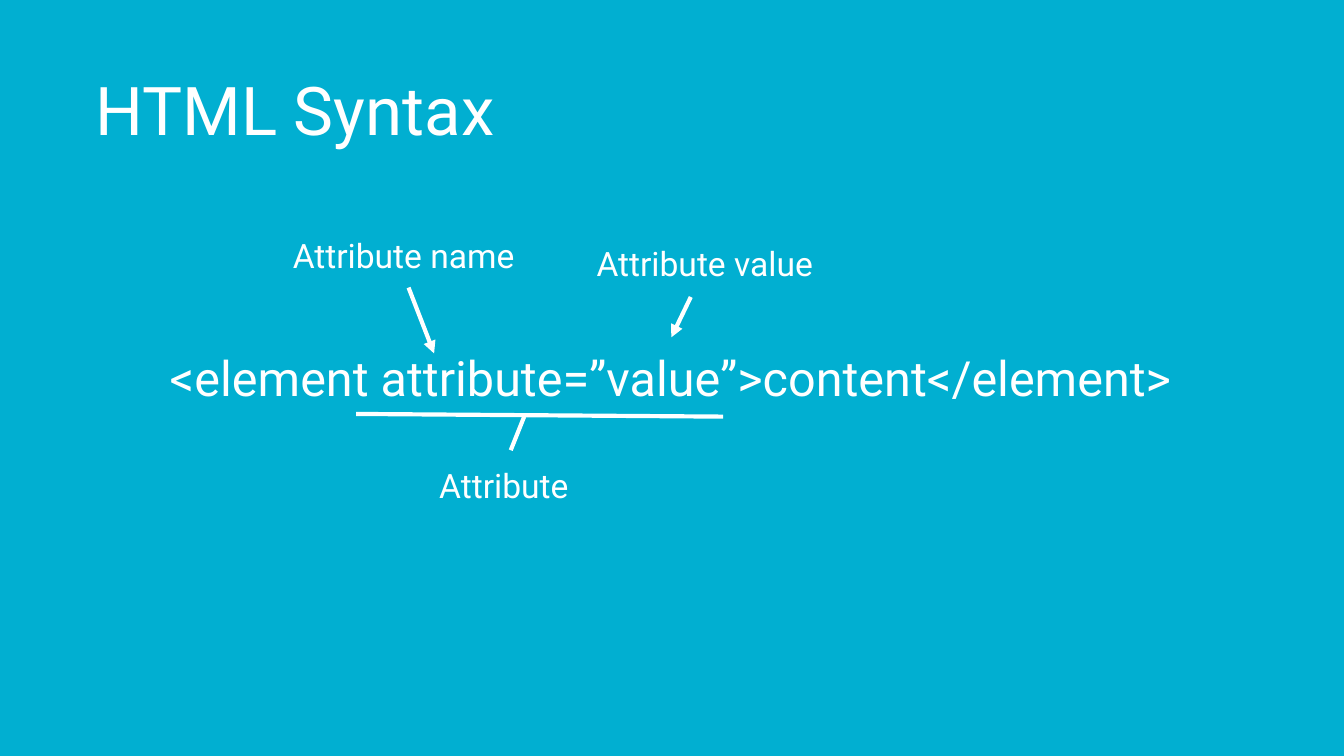
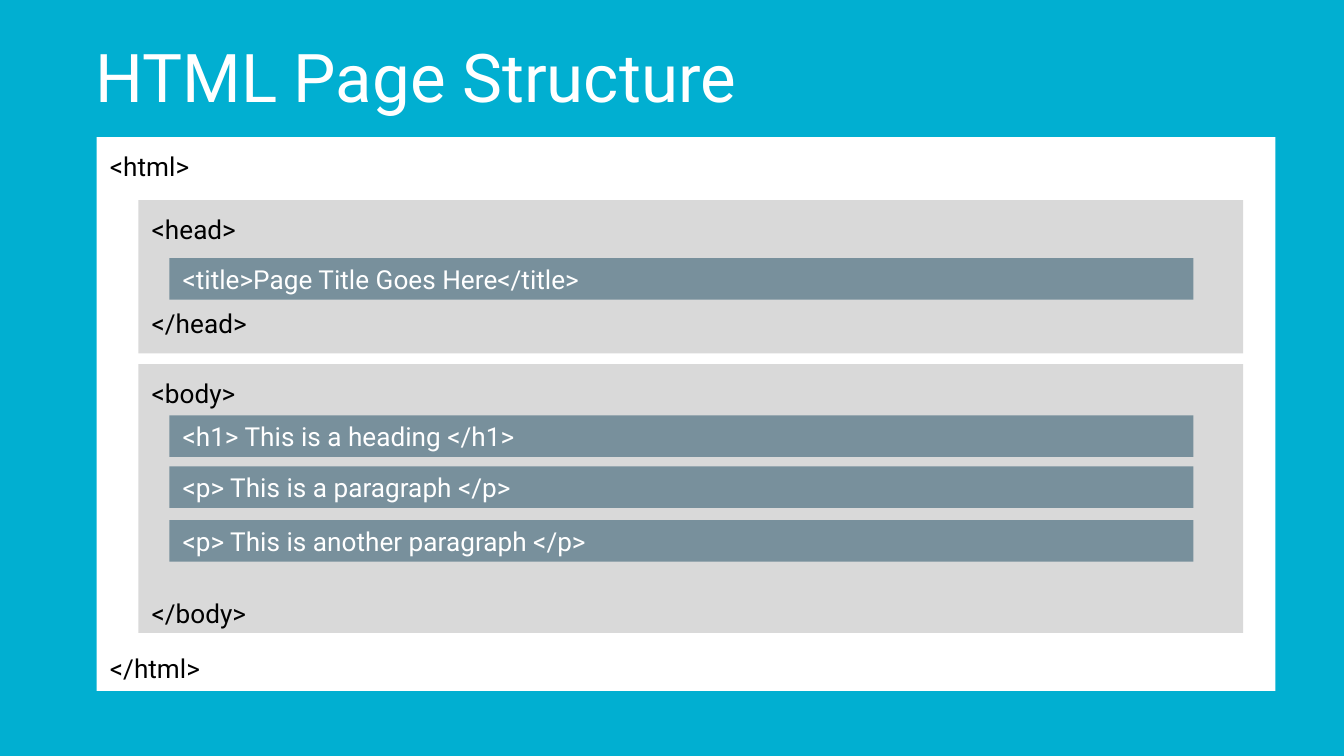
from lxml.etree import SubElement
from pptx import Presentation
from pptx.dml.color import RGBColor
from pptx.enum.shapes import MSO_CONNECTOR as Connector, MSO_SHAPE as Shape
from pptx.enum.text import MSO_ANCHOR as Anchor, MSO_AUTO_SIZE as AutoSize, PP_ALIGN as Align
from pptx.oxml.ns import qn
from pptx.util import Inches, Pt

SLIDE_WIDTH = Inches(10)
SLIDE_HEIGHT = SLIDE_WIDTH * 9 // 16
CYAN = RGBColor(0x01, 0xAF, 0xD1)
WHITE = RGBColor(0xFF, 0xFF, 0xFF)
BLACK = RGBColor(0x00, 0x00, 0x00)
GRAY = RGBColor(0xD9, 0xD9, 0xD9)
SLATE = RGBColor(0x78, 0x90, 0x9C)
FONT = "Roboto"
TAG_SIZE = 14
INSET = Inches(0.1)
FRAME = {
    "word_wrap": True,
    "auto_size": AutoSize.NONE,
    "margin_left": INSET,
    "margin_top": INSET,
    "margin_right": INSET,
    "margin_bottom": INSET,
}


def set_values(target, values):
    """Set each attribute of the target named in values."""
    for name, value in values.items():
        setattr(target, name, value)


def write_text(shape, lines, size, color=WHITE, align=Align.LEFT, anchor=Anchor.TOP, gap=0):
    """Write one paragraph per line, with a gap in points between them."""
    frame = shape.text_frame
    set_values(frame, FRAME | {"vertical_anchor": anchor})
    frame.text = "\n".join(lines)
    for index, paragraph in enumerate(frame.paragraphs):
        set_values(paragraph, {"alignment": align, "space_before": Pt(gap if index else 0)})
        for run in paragraph.runs:
            set_values(run.font, {"name": FONT, "size": Pt(size)})
            run.font.color.rgb = color


def add_titled_slide(presentation, title, top, width):
    """Add a title-only slide and place its title."""
    slide = presentation.slides.add_slide(presentation.slide_layouts[5])
    shape = slide.shapes.title
    place = {"left": 0.61, "top": top, "width": width, "height": 0.79}
    set_values(shape, {name: Inches(length) for name, length in place.items()})
    write_text(shape, [title], 36, anchor=Anchor.BOTTOM)
    return slide


def add_label(slide, text, left, top, width=2.42, height=0.45, size=18, **style):
    """Add a white text box and return it."""
    box = slide.shapes.add_textbox(*map(Inches, (left, top, width, height)))
    write_text(box, [text], size, **style)
    return box


def add_line(slide, start, end, arrow=False, target=None):
    """Add a white line, ending at the target's top side if one is given."""
    line = slide.shapes.add_connector(Connector.STRAIGHT, *map(Inches, start + end))
    if target is not None:
        line.end_connect(target, 0)
    line.line.color.rgb = WHITE
    line.line.width = Pt(2.25)
    if arrow:
        SubElement(line.line._get_or_add_ln(), qn("a:tailEnd"), type="triangle")
    SubElement(line._element.spPr, qn("a:effectLst"))


def add_block(slide, box, fill, lines, **style):
    """Add a filled rectangle holding lines of markup."""
    shape = slide.shapes.add_shape(Shape.RECTANGLE, *map(Inches, box))
    shape.shadow.inherit = False
    shape.fill.solid()
    shape.fill.fore_color.rgb = fill
    shape.line.fill.background()
    write_text(shape, lines, TAG_SIZE, **style)


def add_container(slide, box, fill, tag, gap):
    """Add a block with an opening and a closing tag."""
    add_block(slide, box, fill, [f"<{tag}>", f"</{tag}>"], color=BLACK, gap=gap)


def add_content(slide, top, text):
    """Add a slate row with one element of the page."""
    add_block(slide, (1.26, top, 7.62, 0.31), SLATE, [text], anchor=Anchor.MIDDLE)


def build_syntax(presentation):
    """Build the slide that names the parts of an element."""
    slide = add_titled_slide(presentation, "HTML Syntax", 0.42, 4.68)
    code = add_label(slide, "<element attribute=”value”>content</element>", 0.12, 2.51,
                     9.75, 0.61, 26, align=Align.CENTER, anchor=Anchor.BOTTOM)
    add_line(slide, (2.65, 3.08), (5.38, 3.1))
    add_label(slide, "Attribute name", 2.08, 1.65)
    add_line(slide, (3.04, 2.14), (3.23, 2.63), arrow=True)
    add_label(slide, "Attribute value", 4.34, 1.71)
    add_line(slide, (5.14, 2.21), (5, 2.51), arrow=True, target=code)
    add_label(slide, "Attribute ", 2.57, 3.36, align=Align.CENTER)
    add_line(slide, (3.9, 3.1), (3.8, 3.35))


def build_structure(presentation):
    """Build the slide that shows the nested page."""
    slide = add_titled_slide(presentation, "HTML Page Structure", 0.17, 6.61)
    add_container(slide, (0.72, 1.02, 8.77, 4.12), WHITE, "html", 252)
    add_container(slide, (1.03, 1.49, 8.22, 1.14), GRAY, "head", 33.5)
    add_content(slide, 1.92, "<title>Page Title Goes Here</title>")
    add_container(slide, (1.03, 2.71, 8.22, 2), GRAY, "body", 101)
    for top, text in (
        (3.09, "<h1> This is a heading </h1>"),
        (3.47, "<p> This is a paragraph </p>"),
        (3.87, "<p> This is another paragraph </p>"),
    ):
        add_content(slide, top, text)


def main():
    """Build and save the presentation."""
    presentation = Presentation()
    set_values(presentation, {"slide_width": SLIDE_WIDTH, "slide_height": SLIDE_HEIGHT})
    background = presentation.slide_master.background.fill
    background.solid()
    background.fore_color.rgb = CYAN
    build_syntax(presentation)
    build_structure(presentation)
    presentation.save("out.pptx")


if __name__ == "__main__":
    main()
